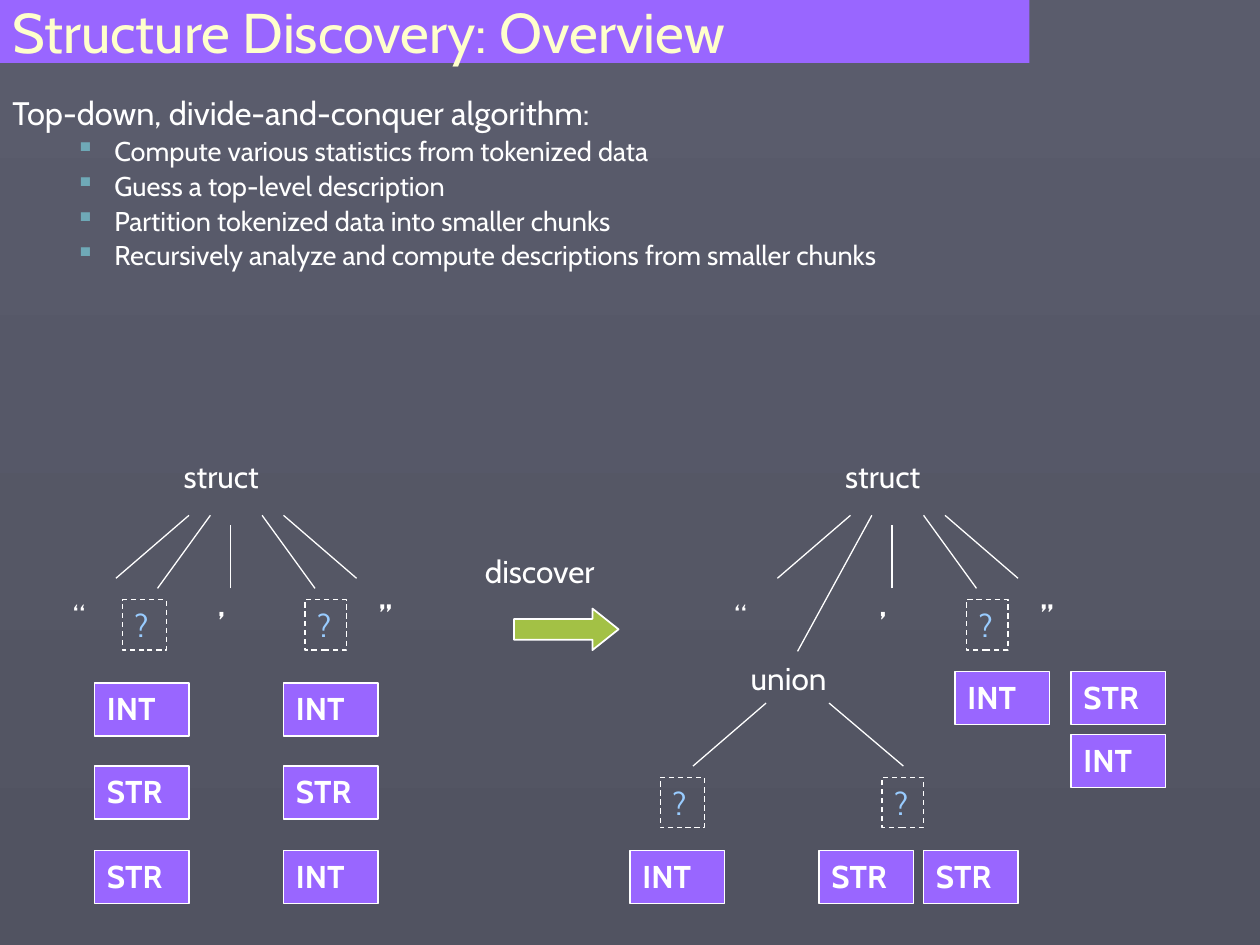
from dataclasses import dataclass

from lxml.etree import SubElement
from pptx import Presentation
from pptx.dml.color import RGBColor
from pptx.enum.dml import MSO_LINE_DASH_STYLE as Dash
from pptx.enum.shapes import MSO_CONNECTOR as Connector, MSO_SHAPE as Shape
from pptx.enum.text import MSO_ANCHOR as Anchor, PP_ALIGN as Align
from pptx.oxml.ns import qn
from pptx.util import Inches, Pt

COLORS = {
    "top": "5A5C6C",
    "bottom": "515361",
    "purple": "9966FF",
    "cream": "FFFFCC",
    "white": "FFFFFF",
    "bullet": "6FA9B7",
    "green": "A3C145",
    "hole": "99CCFF",
}
FONT = "Cabin"
TREE_OFFSET = 5.25
ROWS = (5.42, 6.08, 6.75)
STEPS = (
    "Compute various statistics from tokenized data",
    "Guess a top-level description",
    "Partition tokenized data into smaller chunks",
    "Recursively analyze and compute descriptions from smaller chunks",
)


@dataclass
class Label:
    text: str
    left: float
    top: float
    width: float = 0.35
    bold: bool = False


@dataclass
class Hole:
    left: float
    top: float
    width: float = 0.33


@dataclass
class Token:
    text: str
    left: float
    top: float


@dataclass
class Branch:
    x1: float
    y1: float
    x2: float
    y2: float


def color(name: str) -> RGBColor:
    return RGBColor.from_string(COLORS[name])


def style(para, size: float, name: str, bold: bool = False) -> None:
    para.alignment = Align.LEFT
    for span in para.runs:
        span.font.name = FONT
        span.font.size = Pt(size)
        span.font.bold = bold
        span.font.color.rgb = color(name)


def write(box, text: str, size: float, name: str, bold: bool = False) -> None:
    frame = box.text_frame
    frame.word_wrap = True
    frame.text = text
    style(frame.paragraphs[0], size, name, bold)


def add_box(page, kind, left: float, top: float, width: float, height: float,
            fill: str = "", weight: float = 0):
    box = page.shapes.add_shape(kind, Inches(left), Inches(top), Inches(width), Inches(height))
    box.shadow.inherit = False
    if fill:
        box.fill.solid()
        box.fill.fore_color.rgb = color(fill)
    else:
        box.fill.background()
    if weight:
        box.line.color.rgb = color("white")
        box.line.width = Pt(weight)
    else:
        box.line.fill.background()
    box.text_frame.vertical_anchor = Anchor.TOP
    return box


def add_label(page, label: Label) -> None:
    box = page.shapes.add_textbox(Inches(label.left), Inches(label.top),
                                  Inches(label.width), Inches(0.4))
    write(box, label.text, 18, "white", label.bold)


def add_hole(page, hole: Hole) -> None:
    box = add_box(page, Shape.RECTANGLE, hole.left, hole.top, hole.width, 0.4, weight=0.75)
    box.line.dash_style = Dash.DASH
    write(box, "?", 18, "hole")


def add_token(page, token: Token) -> None:
    box = add_box(page, Shape.RECTANGLE, token.left, token.top, 0.75, 0.42, "purple", 1)
    write(box, token.text, 18, "white", True)


def add_branch(page, branch: Branch) -> None:
    line = page.shapes.add_connector(Connector.STRAIGHT, Inches(branch.x1), Inches(branch.y1),
                                     Inches(branch.x2), Inches(branch.y2))
    line.line.color.rgb = color("white")
    line.line.width = Pt(0.75)
    SubElement(line._element.spPr, qn("a:effectLst"))


def add_struct(page, x: float, second_branch: Branch) -> None:
    for label in (
        Label("struct", x + 1.36, 3.58, 1.1),
        Label("“", x + 0.48, 4.69),
        Label(",", x + 1.63, 4.59, bold=True),
        Label("”", x + 2.91, 4.69, bold=True),
    ):
        add_label(page, label)
    for branch in (
        Branch(x + 0.92, 4.59, x + 1.5, 4.09),
        second_branch,
        Branch(x + 1.83, 4.67, x + 1.83, 4.17),
        Branch(x + 2.5, 4.67, x + 2.08, 4.09),
        Branch(x + 2.83, 4.59, x + 2.25, 4.09),
    ):
        add_branch(page, branch)
    add_hole(page, Hole(x + 2.42, 4.76))


def add_bullet(para) -> None:
    props = para._p.get_or_add_pPr()
    props.set("marL", str(Inches(0.81)))
    props.set("indent", str(Inches(-0.31)))
    tint = SubElement(props, qn("a:buClr"))
    SubElement(tint, qn("a:srgbClr")).set("val", COLORS["bullet"])
    SubElement(props, qn("a:buChar")).set("char", "▪")


def add_outline(page) -> None:
    box = page.shapes.add_textbox(Inches(0), Inches(0.75), Inches(10), Inches(1.84))
    write(box, "Top-down, divide-and-conquer algorithm:", 18.6, "white")
    box.text_frame.paragraphs[0].line_spacing = 0.8
    for step in STEPS:
        para = box.text_frame.add_paragraph()
        para.text = step
        para.level = 1
        add_bullet(para)
        para.line_spacing = 0.8
        para.space_before = Pt(5)
        style(para, 15.5, "white")


def main() -> None:
    deck = Presentation()
    deck.slide_width, deck.slide_height = Inches(10), Inches(7.5)
    page = deck.slides.add_slide(deck.slide_layouts[6])
    backdrop = page.background.fill
    backdrop.gradient()
    backdrop.gradient_angle = 270
    for stop, name in zip(backdrop.gradient_stops, ("top", "bottom")):
        stop.color.rgb = color(name)

    title = add_box(page, Shape.RECTANGLE, 0, 0, 8.17, 0.5, "purple")
    title.text_frame.vertical_anchor = Anchor.MIDDLE
    write(title, "Structure Discovery: Overview", 32, "cream")
    add_outline(page)

    arrow = add_box(page, Shape.RIGHT_ARROW, 4.08, 4.83, 0.83, 0.33, "green", 1)
    arrow.adjustments[1] = 0.63
    add_label(page, Label("discover", 3.75, 4.33, 1.4))

    add_struct(page, 0, Branch(1.25, 4.67, 1.67, 4.09))
    add_struct(page, TREE_OFFSET, Branch(6.33, 5.17, 6.92, 4.09))
    add_label(page, Label("union", 5.86, 5.18, 0.95))
    for branch in (Branch(5.5, 6.08, 6.08, 5.58), Branch(7.17, 6.08, 6.58, 5.58)):
        add_branch(page, branch)
    for hole in (Hole(0.97, 4.76, 0.35), Hole(5.24, 6.17, 0.35), Hole(7, 6.17)):
        add_hole(page, hole)

    columns = {0.75: ("INT", "STR", "STR"), 2.25: ("INT", "STR", "INT")}
    tokens = [Token(text, left, top) for left, texts in columns.items()
              for text, top in zip(texts, ROWS)]
    tokens += [Token("INT", 5, ROWS[-1]), Token("STR", 6.5, ROWS[-1]), Token("STR", 7.33, ROWS[-1]),
               Token("INT", 7.58, 5.33), Token("STR", 8.5, 5.33), Token("INT", 8.5, 5.83)]
    for token in tokens:
        add_token(page, token)
    deck.save("out.pptx")


if __name__ == "__main__":
    main()
